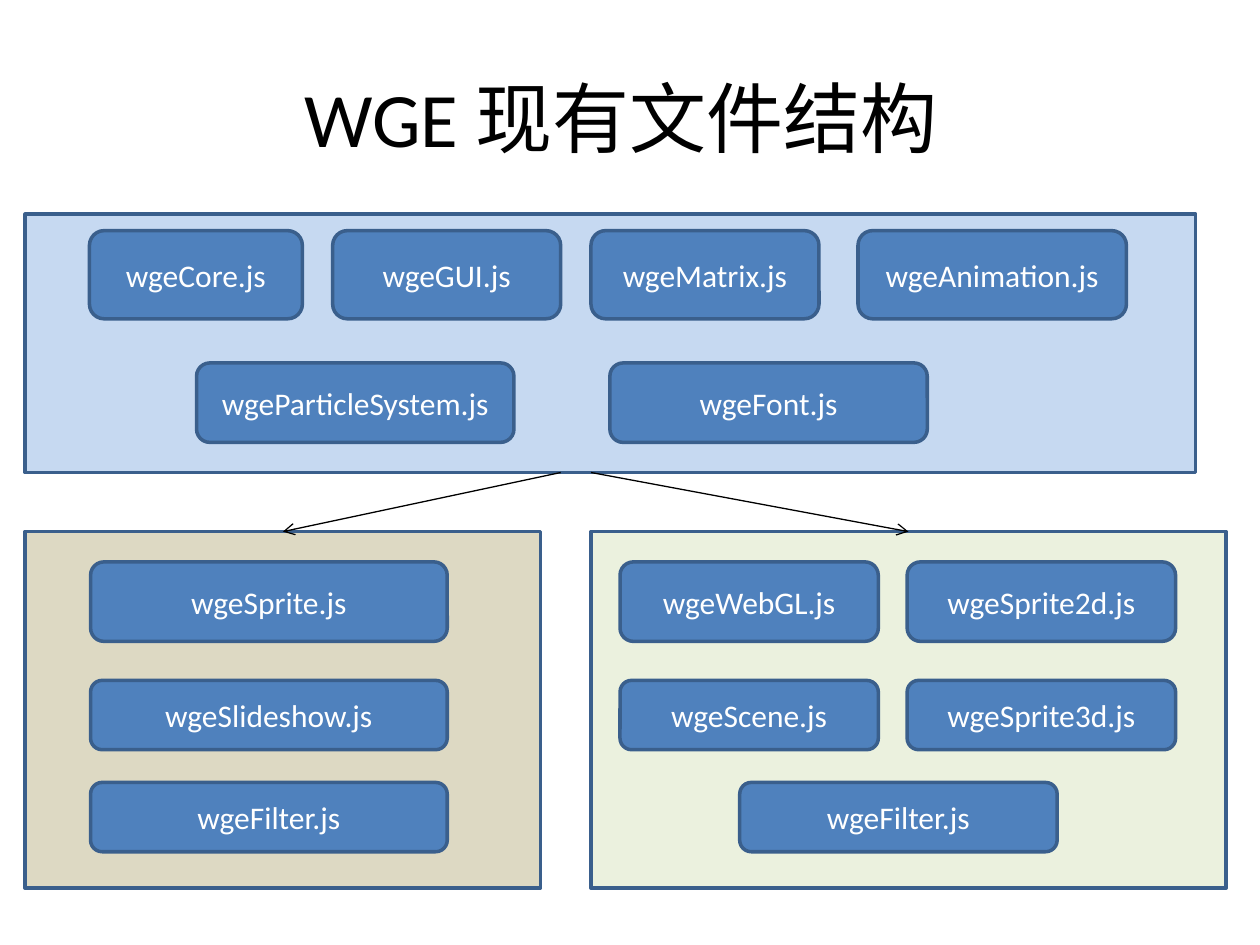
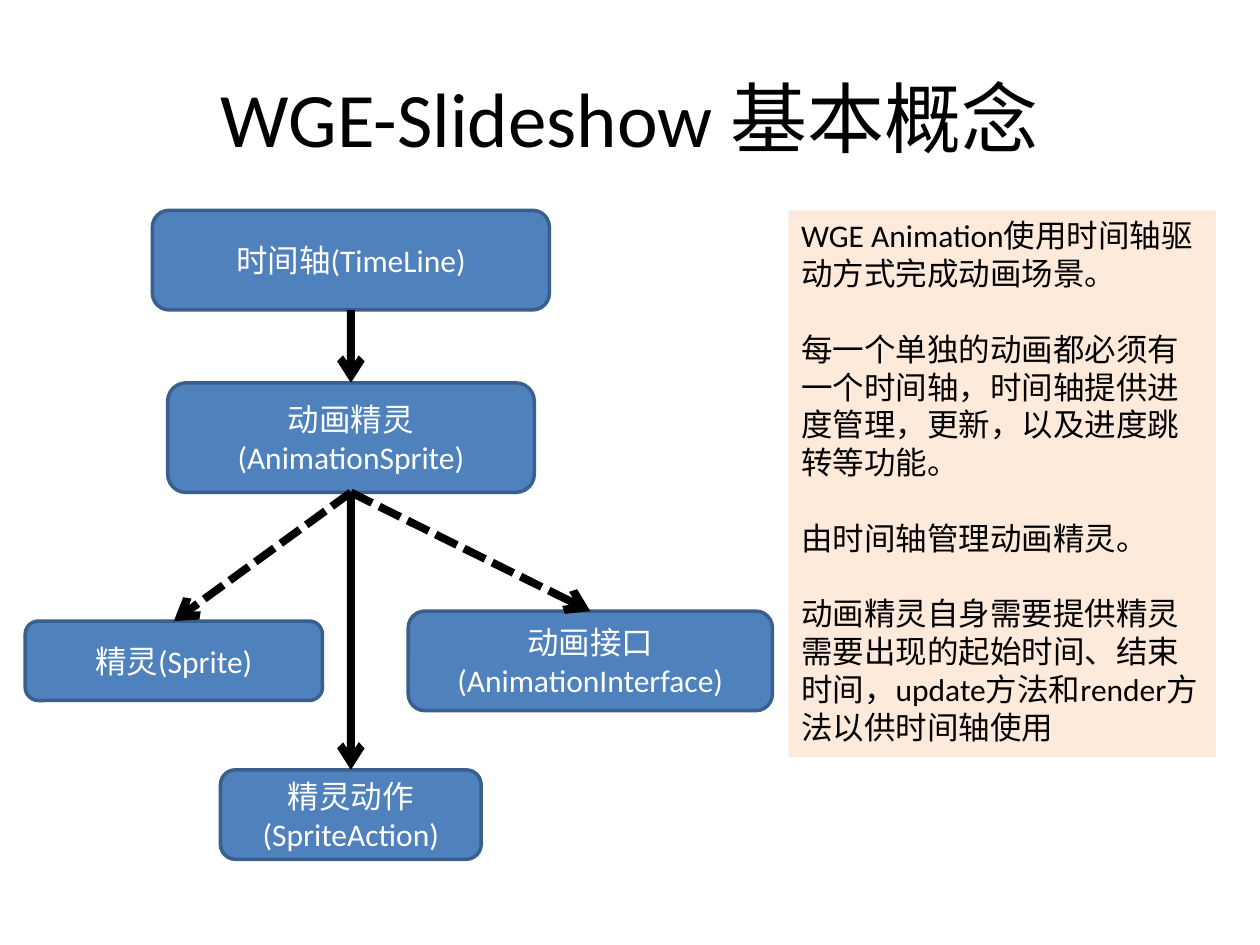
import pptx
import pptx.dml.color
import pptx.enum.dml
import pptx.enum.shapes
import pptx.enum.text
import pptx.oxml.ns
import pptx.util
import lxml.etree

Pt = pptx.util.Pt
RGB = pptx.dml.color.RGBColor
SHAPE = pptx.enum.shapes.MSO_SHAPE
ALIGN = pptx.enum.text.PP_ALIGN
MIDDLE = pptx.enum.text.MSO_ANCHOR.MIDDLE
DASH = pptx.enum.dml.MSO_LINE.SQUARE_DOT
qn = pptx.oxml.ns.qn

# Shared look
FONT = "Calibri"
BLACK = RGB(0x00, 0x00, 0x00)
WHITE = RGB(0xFF, 0xFF, 0xFF)
BLUE = RGB(0x4F, 0x81, 0xBD)
EDGE = RGB(0x3A, 0x5F, 0x8C)
SKY = RGB(0xC6, 0xD9, 0xF1)
SAND = RGB(0xDD, 0xD9, 0xC3)
GREEN = RGB(0xEB, 0xF1, 0xDE)
PEACH = RGB(0xFD, 0xEA, 0xDA)
TITLE = (36, 21.6, 648, 90)
LEFT = 14.4

# Panel rows: top, height, then (file, left, width), relative to the panel
CORE = [
    (9.4, 50.4, [("wgeCore.js", 36.7, 121.7), ("wgeGUI.js", 175.7, 130.3),
                 ("wgeMatrix.js", 323.3, 130.3),
                 ("wgeAnimation.js", 475.9, 153.4)]),
    (85, 45.4, [("wgeParticleSystem.js", 97.9, 181.4),
                ("wgeFont.js", 334.1, 181.4)]),
]
FLAT = [
    (17.3, 45.4, [("wgeSprite.js", 37.4, 203.8)]),
    (85, 39.6, [("wgeSlideshow.js", 37.4, 203.8)]),
    (143.3, 39.6, [("wgeFilter.js", 37.4, 203.8)]),
]
WEBGL = [
    (17.3, 45.4, [("wgeWebGL.js", 16.6, 147.6),
                  ("wgeSprite2d.js", 180.7, 153.4)]),
    (85, 39.6, [("wgeScene.js", 16.6, 147.6),
                ("wgeSprite3d.js", 180.7, 153.4)]),
    (143.3, 39.6, [("wgeFilter.js", 85, 181.4)]),
]

NOTES = [
    "WGE Animation使用时间轴驱动方式完成动画场景。",
    "每一个单独的动画都必须有一个时间轴，时间轴提供进度管理，更新，以及进度跳转等功能。",
    "由时间轴管理动画精灵。",
    "动画精灵自身需要提供精灵需要出现的起始时间、结束时间，update方法和render方法以供时间轴使用",
]


def style(para, size, color, align):
    para.alignment = align
    for run in para.runs:
        run.font.name = FONT
        run.font.size = Pt(size)
        run.font.color.rgb = color


def start(deck, text):
    """Add a slide with its title."""
    slide = deck.slides.add_slide(deck.slide_layouts[5])
    title = slide.shapes.title
    title.left, title.top, title.width, title.height = map(Pt, TITLE)
    frame = title.text_frame
    frame.text = text
    frame.vertical_anchor = MIDDLE
    style(frame.paragraphs[0], 44, BLACK, ALIGN.CENTER)
    return slide


def block(slide, kind, box, fill):
    shape = slide.shapes.add_shape(kind, *map(Pt, box))
    shape.shadow.inherit = False
    shape.fill.solid()
    shape.fill.fore_color.rgb = fill
    shape.line.color.rgb = EDGE
    shape.line.width = Pt(2)
    return shape


def node(slide, text, box):
    shape = block(slide, SHAPE.ROUNDED_RECTANGLE, box, BLUE)
    frame = shape.text_frame
    frame.text = text
    frame.word_wrap = True
    frame.vertical_anchor = MIDDLE
    style(frame.paragraphs[0], 18, WHITE, ALIGN.CENTER)
    return shape


def link(slide, src, dst, width, shift=0, dash=None):
    """Draw an arrow from the foot of src to the top of dst."""
    line = slide.shapes.add_connector(
        pptx.enum.shapes.MSO_CONNECTOR.STRAIGHT,
        src.left + src.width // 2 + Pt(shift), src.top + src.height,
        dst.left + dst.width // 2, dst.top)
    if not shift:
        line.begin_connect(src, 2)
    line.end_connect(dst, 0)
    line.line.color.rgb = BLACK
    line.line.width = Pt(width)
    if dash:
        line.line.dash_style = dash
    props = line.element.spPr
    tail = lxml.etree.SubElement(props.find(qn("a:ln")), qn("a:tailEnd"))
    tail.set("type", "arrow")
    lxml.etree.SubElement(props, qn("a:effectLst"))


def panel(slide, box, fill, rows):
    """Place a tinted panel and its rows of files."""
    x, y = box[:2]
    back = block(slide, SHAPE.RECTANGLE, box, fill)
    for top, high, files in rows:
        for name, left, wide in files:
            node(slide, name, (x + left, y + top, wide, high))
    return back


def flow(slide, x, y):
    """Place the tree of concepts and its arrows."""
    def put(text, left, top, wide, high):
        return node(slide, text, (x + left, y + top, wide, high))

    time = put("时间轴(TimeLine)", 72.7, 0, 226.8, 56.9)
    anim = put("动画精灵(AnimationSprite)", 81.4, 98.6, 209.5, 62.6)
    face = put("动画接口 (AnimationInterface)", 218.9, 229, 208.1, 56.9)
    sprite = put("精灵(Sprite)", 0, 234.7, 169.9, 45.4)
    act = put("精灵动作 (SpriteAction)", 111.6, 319.7, 149, 51.1)
    link(slide, time, anim, 4.5)
    link(slide, anim, sprite, 4.5, dash=DASH)
    link(slide, anim, face, 4.5, dash=DASH)
    link(slide, anim, act, 4.5)


def note(slide, box):
    """Place the tinted text at the right."""
    shape = slide.shapes.add_textbox(*map(Pt, box))
    shape.fill.solid()
    shape.fill.fore_color.rgb = PEACH
    frame = shape.text_frame
    frame.word_wrap = True
    frame.text = "\n".join(NOTES)
    for i, para in enumerate(frame.paragraphs):
        para.space_before = Pt(21.6 if i else 0)
        style(para, 18, BLACK, ALIGN.LEFT)


def files(deck):
    slide = start(deck, "WGE 现有文件结构 ")
    core = panel(slide, (LEFT, 122.4, 668.9, 147.6), SKY, CORE)
    flat = panel(slide, (LEFT, 303.8, 294.5, 203.8), SAND, FLAT)
    webgl = panel(slide, (337.7, 303.8, 362.9, 203.8), GREEN, WEBGL)
    link(slide, core, flat, 0.75, shift=-28.4)
    link(slide, core, webgl, 0.75, shift=-11.1)


def ideas(deck):
    slide = start(deck, "WGE-Slideshow 基本概念")
    flow(slide, LEFT, 120.2)
    note(slide, (450.7, 120.2, 244.1, 312.5))


def main():
    deck = pptx.Presentation()
    deck.slide_width, deck.slide_height = Pt(720), Pt(540)
    files(deck)
    ideas(deck)
    deck.save("out.pptx")


if __name__ == "__main__":
    main()
